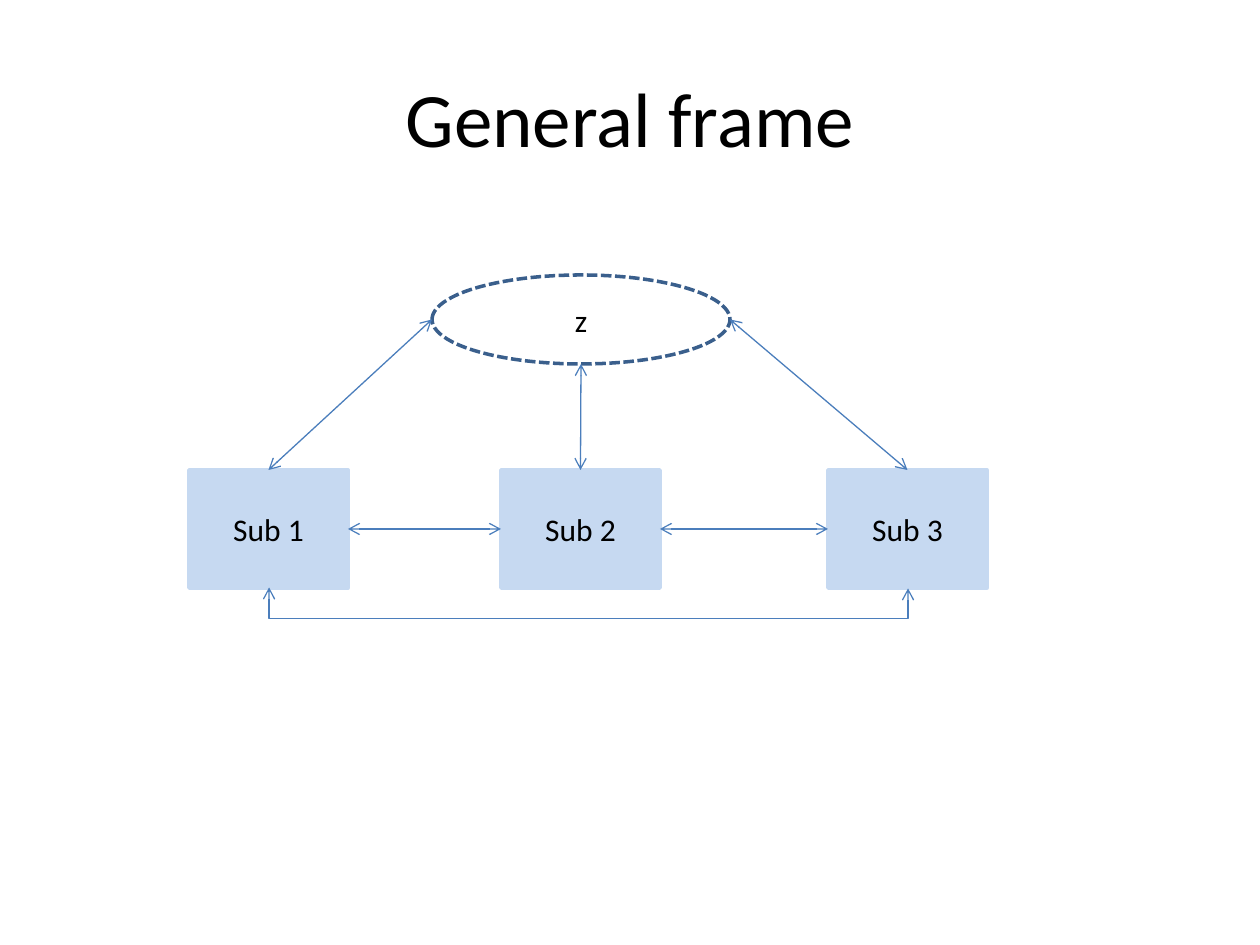
import pptx
import pptx.util
import pptx.dml.color
import pptx.enum.dml
import pptx.enum.shapes
import pptx.enum.text
import pptx.oxml
import pptx.oxml.ns
from lxml import etree

TITLE = ("General frame", (63, 38, 1134, 157))
SHARED = ("z", (432, 275, 298, 89))
SUBS = [("Sub 1", 189), ("Sub 2", 501), ("Sub 3", 828)]
SUB_TOP, SUB_W, SUB_H = 470, 159, 118
LOOP_DROP = 31
THEME = {
    "font": "Calibri", "title": 44, "label": 18, "text": "000000",
    "sub": "C6D9F1", "shared": "FFFFFF", "dash": "3A5F8C", "link": "4B7EBC",
    "border": 2, "link_width": 0.75,
}
SHAPE = pptx.enum.shapes.MSO_SHAPE
CONNECTOR = pptx.enum.shapes.MSO_CONNECTOR
TOP, LEFT, BOTTOM, RIGHT = range(4)
qn = pptx.oxml.ns.qn


def px(n):
    return round(n * 914400 / 126)


def rgb(key):
    return pptx.dml.color.RGBColor.from_string(THEME[key])


def place(s, box):
    for name, n in zip(("left", "top", "width", "height"), box):
        setattr(s, name, px(n))


def write(s, text, size):
    tf = s.text_frame
    tf.word_wrap = True
    tf.vertical_anchor = pptx.enum.text.MSO_ANCHOR.MIDDLE
    p = tf.paragraphs[0]
    p.alignment = pptx.enum.text.PP_ALIGN.CENTER
    r = p.add_run()
    r.text = text
    values = {"name": THEME["font"], "size": pptx.util.Pt(THEME[size])}
    for name, value in values.items():
        setattr(r.font, name, value)
    r.font.color.rgb = rgb("text")


def add_node(slide, kind, text, box, fill, line):
    s = slide.shapes.add_shape(kind, *map(px, box))
    s.shadow.inherit = False
    s.fill.solid()
    s.fill.fore_color.rgb = rgb(fill)
    s.line.color.rgb = rgb(line)
    s.line.width = pptx.util.Pt(THEME["border"])
    write(s, text, "label")
    return s


def add_link(slide, start, end, kind=CONNECTOR.STRAIGHT):
    """Draw a connector with an open arrowhead at both ends."""
    c = slide.shapes.add_connector(kind, *map(px, (*start, *end)))
    c.line.color.rgb = rgb("link")
    c.line.width = pptx.util.Pt(THEME["link_width"])
    ln = c.line._get_or_add_ln()
    for tag in ("a:headEnd", "a:tailEnd"):
        etree.SubElement(ln, qn(tag), type="arrow")
    etree.SubElement(c._element.spPr, qn("a:effectLst"))
    return c


def add_loop(slide, x1, x2, y):
    """Join two box bottoms from below with a quarter-turned elbow."""
    mid, half = (x1 + x2) / 2, (x2 - x1) / 2
    c = add_link(slide, (mid + 1, y - half), (mid, y + half), CONNECTOR.ELBOW)
    spPr = c._element.spPr
    spPr.find(qn("a:xfrm")).set("rot", str(270 * 60000))
    guides = spPr.find(qn("a:prstGeom")).get_or_add_avLst()
    etree.SubElement(guides, qn("a:gd"), name="adj1",
                     fmla=f"val {LOOP_DROP * 100000}")


def main():
    prs = pptx.Presentation()
    prs.slide_width = pptx.util.Inches(10)
    prs.slide_height = pptx.util.Inches(7.5)
    slide = prs.slides.add_slide(prs.slide_layouts[5])
    title, box = TITLE
    place(slide.shapes.title, box)
    write(slide.shapes.title, title, "title")

    subs = [add_node(slide, SHAPE.RECTANGLE, text,
                     (x, SUB_TOP, SUB_W, SUB_H), "sub", "sub")
            for text, x in SUBS]
    text, box = SHARED
    shared = add_node(slide, SHAPE.OVAL, text, box, "shared", "dash")
    shared.line.dash_style = pptx.enum.dml.MSO_LINE.SQUARE_DOT

    centers = [x + SUB_W / 2 for _, x in SUBS]
    add_loop(slide, centers[0], centers[-1], SUB_TOP + SUB_H)

    middle = SUB_TOP + SUB_H / 2
    for i in range(len(subs) - 1):
        c = add_link(slide, (SUBS[i][1] + SUB_W, middle),
                     (SUBS[i + 1][1], middle))
        c.begin_connect(subs[i], RIGHT)
        c.end_connect(subs[i + 1], LEFT)

    x, y, w, h = box
    shared_ends = [(x, y + h / 2), (x + w / 2, y + h), (x + w, y + h / 2)]
    for s, center, end in zip(subs, centers, shared_ends):
        c = add_link(slide, (center, SUB_TOP), end)
        c.begin_connect(s, TOP)

    prs.save("out.pptx")


if __name__ == "__main__":
    main()
